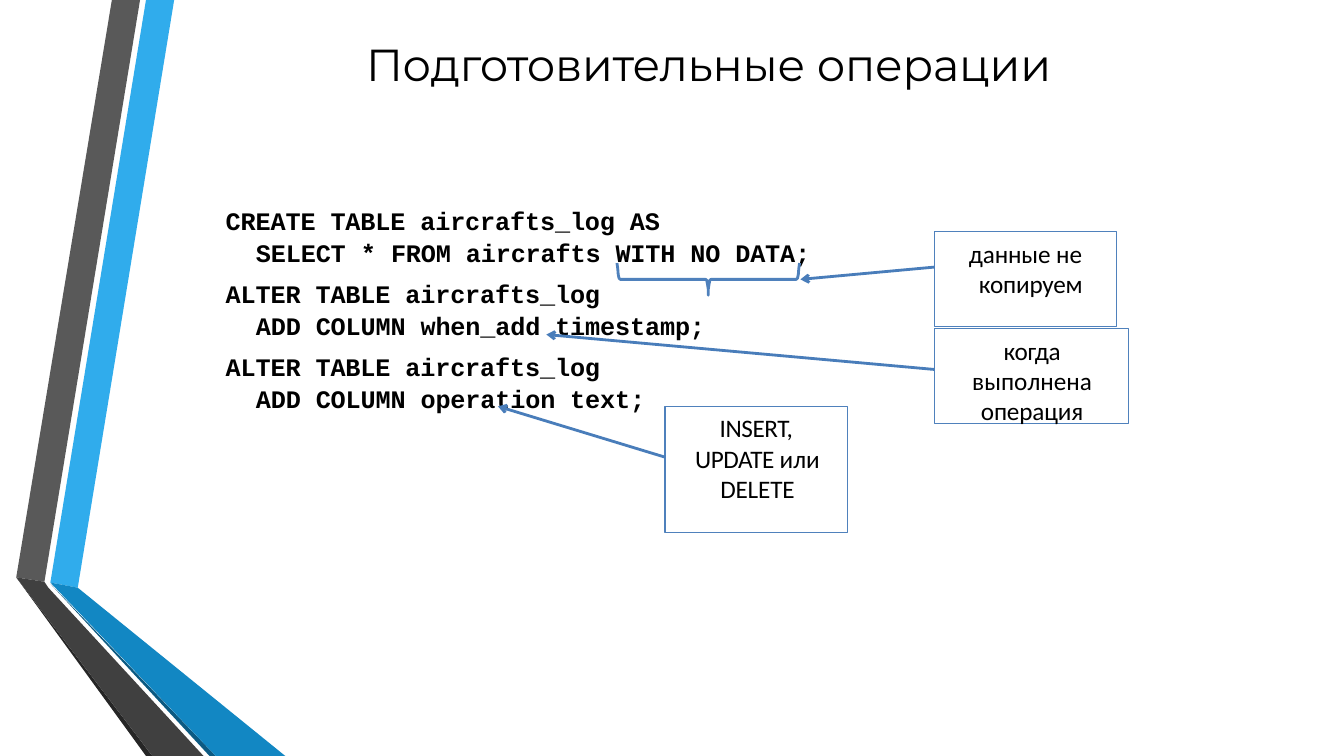
import pptx
import pptx.util
import pptx.dml.color
import pptx.enum.shapes
import pptx.enum.text
from lxml import etree

Cm, Pt = pptx.util.Cm, pptx.util.Pt
NS = "http://schemas.openxmlformats.org/drawingml/2006/main"
ALIGN = pptx.enum.text.PP_ALIGN
BLACK, EDGE, ARROW = "000000", "4F81BC", "497DBA"


def tint(code):
    return pptx.dml.color.RGBColor.from_string(code)


def sub(node, tag, **attrs):
    return etree.SubElement(node, "{%s}%s" % (NS, tag), **attrs)


class Deck:
    def __init__(self, slide):
        self.shapes = slide.shapes
        self.size = 18

    def shape(self, points, fill=None, line=None, close=True):
        spots = [(Cm(x), Cm(y)) for x, y in points]
        form = self.shapes.build_freeform(*spots[0], scale=1.0)
        form.add_line_segments(spots[1:], close=close)
        item = form.convert_to_shape()
        item.shadow.inherit = False
        if fill:
            item.fill.solid()
            item.fill.fore_color.rgb = tint(fill)
        else:
            item.fill.background()
        if line:
            item.line.color.rgb = tint(line)
            item.line.width = Pt(2)
        else:
            item.line.fill.background()

    def text(self, area, paras, font, size=None, bold=False, inset=0.03,
             middle=False, pitch=None):
        box = self.shapes.add_textbox(*map(Cm, area))
        self.label(box.text_frame, paras, font, size, bold, inset, middle, pitch)

    def note(self, area, paras):
        box = self.shapes.add_shape(
            pptx.enum.shapes.MSO_SHAPE.RECTANGLE, *map(Cm, area))
        box.shadow.inherit = False
        box.fill.background()
        box.line.color.rgb = tint(EDGE)
        box.line.width = Pt(0.75)
        self.label(box.text_frame, paras, "Calibri", inset=0.16)

    def label(self, frame, paras, font, size=None, bold=False, inset=0.03,
              middle=False, pitch=None):
        anchor = pptx.enum.text.MSO_ANCHOR
        frame.word_wrap = True
        frame.vertical_anchor = anchor.MIDDLE if middle else anchor.TOP
        frame.margin_left = frame.margin_right = frame.margin_bottom = 0
        frame.margin_top = Cm(inset)
        for i, (align, left, first, right, gap, runs) in enumerate(paras):
            para = frame.add_paragraph() if i else frame.paragraphs[0]
            para.alignment = align
            para.space_before = Pt(gap)
            if pitch:
                para.line_spacing = pitch
            props = para._p.get_or_add_pPr()
            props.set("marL", str(Cm(left)))
            props.set("marR", str(Cm(right)))
            props.set("indent", str(Cm(first)))
            for words, space in runs:
                run = para.add_run()
                run.text = words
                run.font.name = font
                run.font.size = Pt(size or self.size)
                run.font.bold = bold
                run.font.color.rgb = tint(BLACK)
                run._r.get_or_add_rPr().set("spc", str(space))

    def arrow(self, *ends):
        kind = pptx.enum.shapes.MSO_CONNECTOR.STRAIGHT
        item = self.shapes.add_connector(kind, *map(Cm, ends))
        item.line.color.rgb = tint(ARROW)
        item.line.width = Pt(2)
        sub(item.line._get_or_add_ln(), "tailEnd", type="arrow")
        sub(item._element.spPr, "effectLst")


def main():
    prs = pptx.Presentation()
    prs.slide_width, prs.slide_height = Cm(33.87), Cm(19.05)
    deck = Deck(prs.slides.add_slide(prs.slide_layouts[6]))

    bands = [
        ("30ACEC", [(1.27, 14.68), (1.96, 14.81), (4.39, 0), (3.68, 0)]),
        ("595959", [(3.53, 0), (2.82, 0), (0.41, 14.55), (1.12, 14.66)]),
        ("262626", [(0.41, 14.55), (3.68, 19.05), (3.84, 19.05)]),
        ("0C5A82", [(1.27, 14.71), (5.28, 19.05), (5.44, 19.05)]),
        ("1287C3", [(1.27, 14.68), (5.44, 19.05), (7.19, 19.05), (1.96, 14.81)]),
        ("404040", [(5.13, 19.05), (1.22, 14.81), (1.12, 14.66),
                    (0.41, 14.55), (3.84, 19.05)]),
    ]
    for fill, points in bands:
        deck.shape(points, fill)

    mid, left = ALIGN.CENTER, ALIGN.LEFT
    deck.text((6.86, 0.89, 21.97, 1.4),
              [(mid, 0.03, 0, 0, 0,
                [("Подготовительные ", -20), ("операции", -10)])],
              "Montserrat", 32, middle=True)

    code = [
        (0, [("CREATE TABLE aircrafts_log AS", -10)]),
        (0, [("SELECT ", -10), ("* ", 0), ("FROM aircrafts WITH NO DATA;", -10)]),
        (6, [("ALTER TABLE aircrafts_log", -10)]),
        (0, [("ADD COLUMN when_add timestamp;", -10)]),
        (6, [("ALTER TABLE aircrafts_log", -10)]),
        (0, [("ADD COLUMN operation text;", -10)]),
    ]
    deck.text((5.66, 5.05, 14.86, 5.08),
              [(left, 0.79 if i % 2 else 0.03, 0, 0, gap, runs)
               for i, (gap, runs) in enumerate(code)],
              "Courier New", bold=True, inset=0.06, pitch=1.07)

    deck.note((23.55, 5.84, 4.6, 2.39),
              [(left, 1.12, -0.25, 0, 0,
                [("данные ", -10), ("не ", 0), ("копируем", -10)])])
    deck.note((23.55, 8.28, 4.88, 2.39),
              [(mid, 0.79, 0, 0.75, 0,
                [("когда ", -20), ("вып", 0), ("о", -40), ("лнена ", 0),
                 ("операция", -10)])])
    deck.note((16.76, 10.24, 4.6, 3.18),
              [(mid, 0, 0, 0, 0, [("INSERT,", -30)]),
               (mid, 0.71, 0, 0.65, 0,
                [("UPDATE ", -30), ("или ", 0), ("DELETE", -10)])])

    half = [(0, 0), (0.02, 0.15), (0.03, 0.28), (0.05, 0.38), (0.08, 0.41),
            (2.23, 0.41), (2.26, 0.43), (2.28, 0.53), (2.3, 0.66), (2.3, 0.81)]
    brace = half + [(4.6 - x, y) for x, y in half[-2::-1]]
    deck.shape([(15.55 + x, 6.63 + y) for x, y in brace], line=EDGE, close=False)

    deck.arrow(23.55, 6.73, 20.17, 7.04)
    deck.arrow(23.55, 9.31, 13.77, 8.43)
    deck.arrow(16.76, 11.52, 12.55, 10.24)
    prs.save("out.pptx")


if __name__ == "__main__":
    main()
